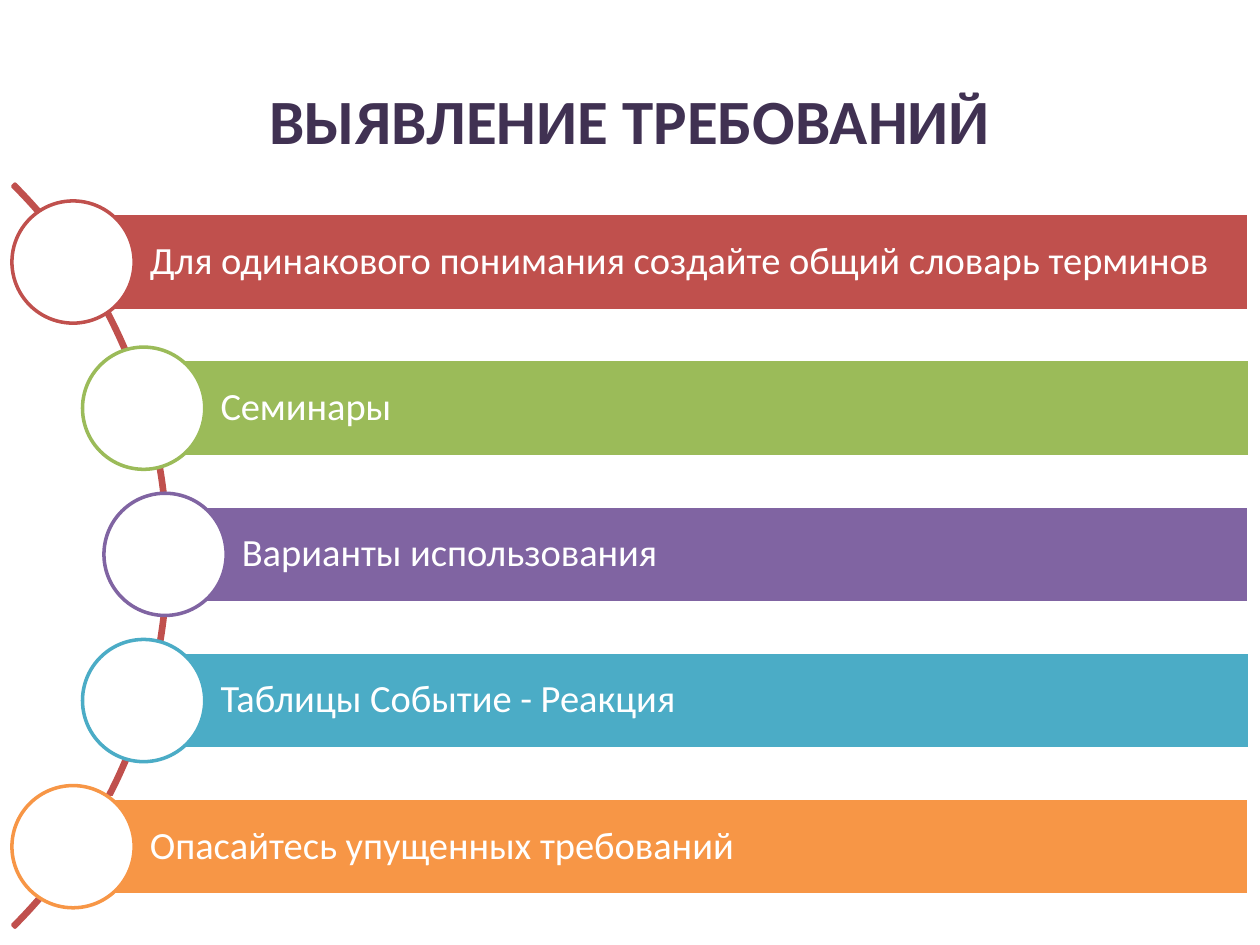
from pptx import Presentation
from pptx import util as u
from pptx.dml.color import RGBColor
from pptx.enum import shapes, text

WHITE = RGBColor(0xFF, 0xFF, 0xFF)
INK = RGBColor(0x40, 0x31, 0x52)
RED = RGBColor(0xC0, 0x50, 0x4D)
GREEN = RGBColor(0x9B, 0xBB, 0x59)
PURPLE = RGBColor(0x80, 0x64, 0xA2)
TEAL = RGBColor(0x4B, 0xAC, 0xC6)
ORANGE = RGBColor(0xF7, 0x96, 0x46)

COLS, ROWS = 100, 75
STEP, DISC, BAR, EDGE = 11.6, 9.7, 7.7, 99.15
FIRST = 20.8
STEPS = [
    (5.8, RED, "Для одинакового понимания создайте общий словарь терминов"),
    (11.4, GREEN, "Семинары"),
    (13.1, PURPLE, "Варианты использования"),
    (11.4, TEAL, "Таблицы Событие - Реакция"),
    (5.8, ORANGE, "Опасайтесь упущенных требований"),
]


class Deck:
    """Holds the style and the current slide, measured on a grid of columns and rows."""

    def __init__(self):
        self.prs = Presentation()
        self.prs.slide_width, self.prs.slide_height = u.Inches(10), u.Inches(7.5)
        self.font = "Calibri"
        self.slide = self.prs.slides.add_slide(self.prs.slide_layouts[6])

    def box(self, left, top, width, height):
        col, row = self.prs.slide_width / COLS, self.prs.slide_height / ROWS
        return [round(n) for n in (left * col, top * row, width * col, height * row)]

    def label(self, frame, words, size, color, align, bold=False):
        frame.word_wrap = True
        frame.text = words
        para = frame.paragraphs[0]
        para.alignment = align
        font = para.runs[0].font
        font.name, font.size, font.bold = self.font, u.Pt(size), bold
        font.color.rgb = color
        return para

    def title(self, words, *area):
        frame = self.slide.shapes.add_textbox(*self.box(*area)).text_frame
        self.label(frame, words, 36, INK, text.PP_ALIGN.CENTER, True)

    def shape(self, kind, area, fill, line):
        item = self.slide.shapes.add_shape(kind, *self.box(*area))
        item.shadow.inherit = False
        if fill is None:
            item.fill.background()
        else:
            item.fill.solid()
            item.fill.fore_color.rgb = fill
        item.line.color.rgb = line
        item.line.width = u.Pt(2)
        return item

    def arc(self, area, color):
        item = self.shape(shapes.MSO_SHAPE.BLOCK_ARC, area, None, color)
        for i, value in enumerate((189, 27, 0.003)):
            item.adjustments[i] = value

    def bar(self, area, color, words):
        item = self.shape(shapes.MSO_SHAPE.RECTANGLE, area, color, WHITE)
        frame = item.text_frame
        frame.vertical_anchor = text.MSO_ANCHOR.MIDDLE
        frame.margin_left = u.Inches(0.61)
        frame.margin_right = frame.margin_top = frame.margin_bottom = u.Inches(0.06)
        para = self.label(frame, words, 22, WHITE, text.PP_ALIGN.LEFT)
        para.line_spacing = 0.9

    def disc(self, x, y, color):
        area = (x - DISC / 2, y - DISC / 2, DISC, DISC)
        self.shape(shapes.MSO_SHAPE.OVAL, area, WHITE, color)


def main():
    deck = Deck()
    deck.title("ВЫЯВЛЕНИЕ ТРЕБОВАНИЙ", 0, 6, COLS, 7.1)
    deck.arc((-70, 2.4, 83.4, 83.4), RED)
    for i, (x, color, words) in enumerate(STEPS):
        y = FIRST + i * STEP
        deck.bar((x, y - BAR / 2, EDGE - x, BAR), color, words)
        deck.disc(x, y, color)
    deck.prs.save("out.pptx")


if __name__ == "__main__":
    main()
